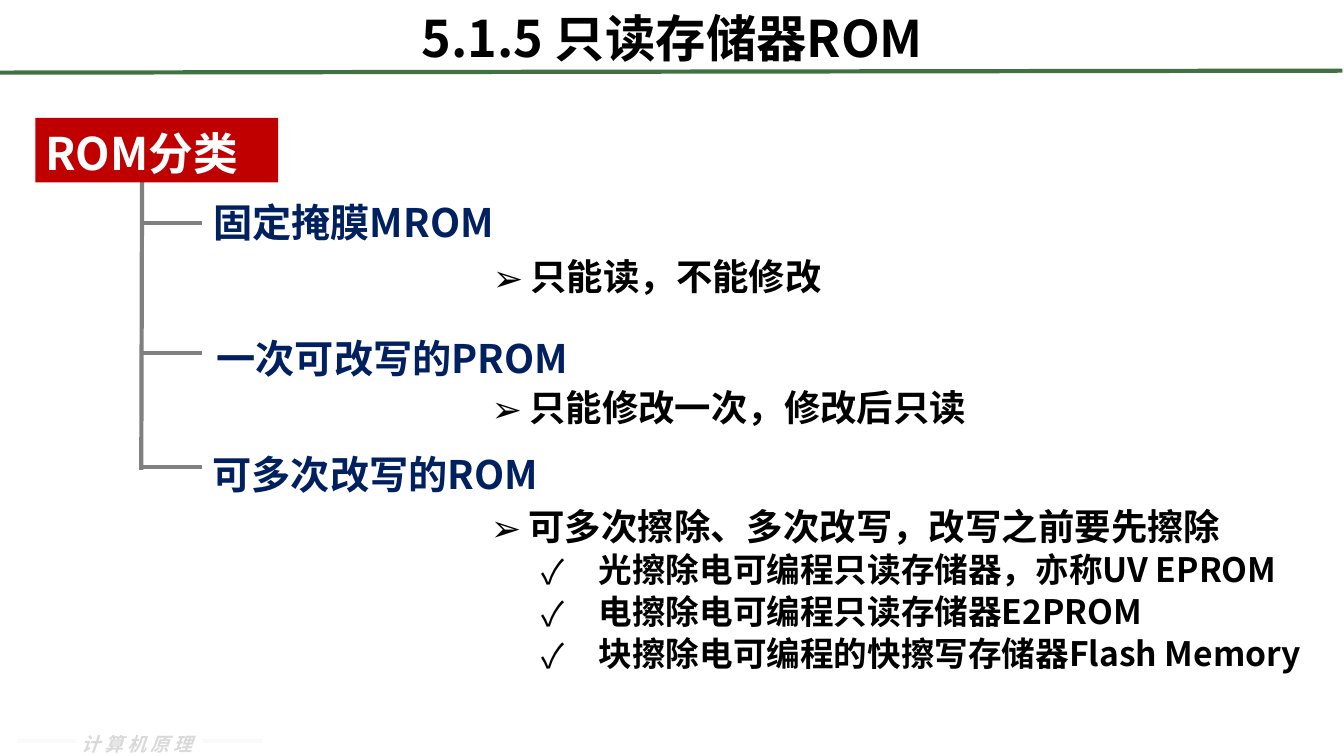
from lxml import etree
from pptx import Presentation, util as u
from pptx.dml.color import RGBColor
from pptx.enum import shapes, text
from pptx.oxml.ns import qn

FONT = "Noto Sans CJK SC"
BLACK = RGBColor(0, 0, 0)
WHITE = RGBColor(255, 255, 255)
RED = RGBColor(0xC0, 0, 0)
NAVY = RGBColor(0, 0x20, 0x60)
GREEN = RGBColor(0x3F, 0x71, 0x41)
GRAY = RGBColor(0x80, 0x80, 0x80)
PALE = RGBColor(0xD9, 0xD9, 0xD9)
FAINT = RGBColor(0xFA, 0xFA, 0xFA)

# Bullet character: (left margin, hanging indent) in cm
BULLETS = {"➢": (0.95, 0.95), "✓": (2.72, 1.45)}


def write(p, content, size=26, color=BLACK, bullet=None, before=0,
          align=text.PP_ALIGN.LEFT, italic=False, spacing=0):
    """Fill one paragraph and format it."""
    if bullet:
        margin, hang = BULLETS[bullet]
        pPr = p._p.get_or_add_pPr()
        pPr.set("marL", str(u.Cm(margin)))
        pPr.set("indent", str(-u.Cm(hang)))
        etree.SubElement(pPr, qn("a:buFont")).set("typeface", FONT)
        etree.SubElement(pPr, qn("a:buChar")).set("char", bullet)
    p.alignment = align
    p.line_spacing = u.Pt(size * 1.2)
    p.space_before = u.Pt(before)
    r = p.add_run()
    r.text = content
    f = r.font
    f.name, f.size, f.bold, f.italic = FONT, u.Pt(size), True, italic
    f.color.rgb = color
    rPr = r._r.get_or_add_rPr()
    etree.SubElement(rPr, qn("a:ea")).set("typeface", FONT)
    if spacing:
        rPr.set("spc", str(spacing * 100))


class Page:
    def __init__(self, slide):
        self.s = slide

    def frame(self, sp, top=0.2):
        tf = sp.text_frame
        tf.word_wrap = True
        tf.vertical_anchor = text.MSO_ANCHOR.TOP
        tf.margin_left = tf.margin_right = u.Cm(0.25)
        tf.margin_top, tf.margin_bottom = u.Cm(top), u.Cm(0)
        return tf

    def box(self, x, y, w, h, *lines, top=0.2, **style):
        sp = self.s.shapes.add_textbox(u.Cm(x), u.Cm(y), u.Cm(w), u.Cm(h))
        tf = self.frame(sp, top)
        for i, line in enumerate(lines):
            p = tf.add_paragraph() if i else tf.paragraphs[0]
            content, extra = line if isinstance(line, tuple) else (line, {})
            write(p, content, **{**style, **extra})

    def rect(self, x, y, w, h, fill, content=None, **style):
        sp = self.s.shapes.add_shape(shapes.MSO_SHAPE.RECTANGLE,
                                     u.Cm(x), u.Cm(y), u.Cm(w), u.Cm(h))
        sp.shadow.inherit = False
        sp.fill.solid()
        sp.fill.fore_color.rgb = fill
        sp.line.fill.background()
        if content:
            write(self.frame(sp).paragraphs[0], content, **style)

    def line(self, x1, y1, x2, y2, color):
        c = self.s.shapes.add_connector(shapes.MSO_CONNECTOR.STRAIGHT,
                                        u.Cm(x1), u.Cm(y1), u.Cm(x2), u.Cm(y2))
        c.line.color.rgb = color
        c.line.width = u.Pt(3)
        etree.SubElement(c._element.spPr, qn("a:effectLst"))


def main():
    prs = Presentation()
    prs.slide_width, prs.slide_height = u.Cm(33.87), u.Cm(19.05)
    page = Page(prs.slides.add_slide(prs.slide_layouts[6]))

    # Footer
    page.box(1.8, 18.31, 3.71, 0.74, "计算机原理", top=0.15, size=13.5,
             color=PALE, italic=True, spacing=3)
    for x in (5.11, 0.43):
        page.rect(x, 18.62, 1.5, 0.1, FAINT)

    # Title and rule
    page.line(0, 1.83, 33.83, 1.78, GREEN)
    page.box(1.7, -0.08, 30.48, 2.16, "5.1.5 只读存储器ROM", top=0.25, size=36,
             align=text.PP_ALIGN.CENTER)

    # Classification tree
    page.line(3.58, 4.44, 3.56, 11.84, GRAY)
    branches = [
        ("固定掩膜MROM", 5.13, 4.8, 5.61),
        ("一次可改写的PROM", 5.21, 8.23, 8.89),
        ("可多次改写的ROM", 5.11, 11.15, 11.76),
    ]
    for label, x, y, tick in branches:
        page.line(5.08, tick, 3.56, tick, GRAY)
        page.box(x, y, 11, 1.45, label, size=28, color=NAVY)
    page.rect(0.89, 2.97, 6.12, 1.63, RED, "ROM分类", size=32, color=WHITE)

    # Details of each class
    sub = dict(size=24, bullet="✓", before=1.2)
    page.box(12.17, 6.2, 18.31, 1.37, "只能读，不能修改", bullet="➢")
    page.box(12.14, 9.5, 21.5, 1.37, "只能修改一次，修改后只读", bullet="➢")
    page.box(12.12, 12.5, 21.7, 4.6,
             "可多次擦除、多次改写，改写之前要先擦除",
             ("光擦除电可编程只读存储器，亦称UV EPROM", sub),
             ("电擦除电可编程只读存储器E2PROM", sub),
             ("块擦除电可编程的快擦写存储器Flash Memory", sub),
             bullet="➢")

    prs.save("out.pptx")


if __name__ == "__main__":
    main()
